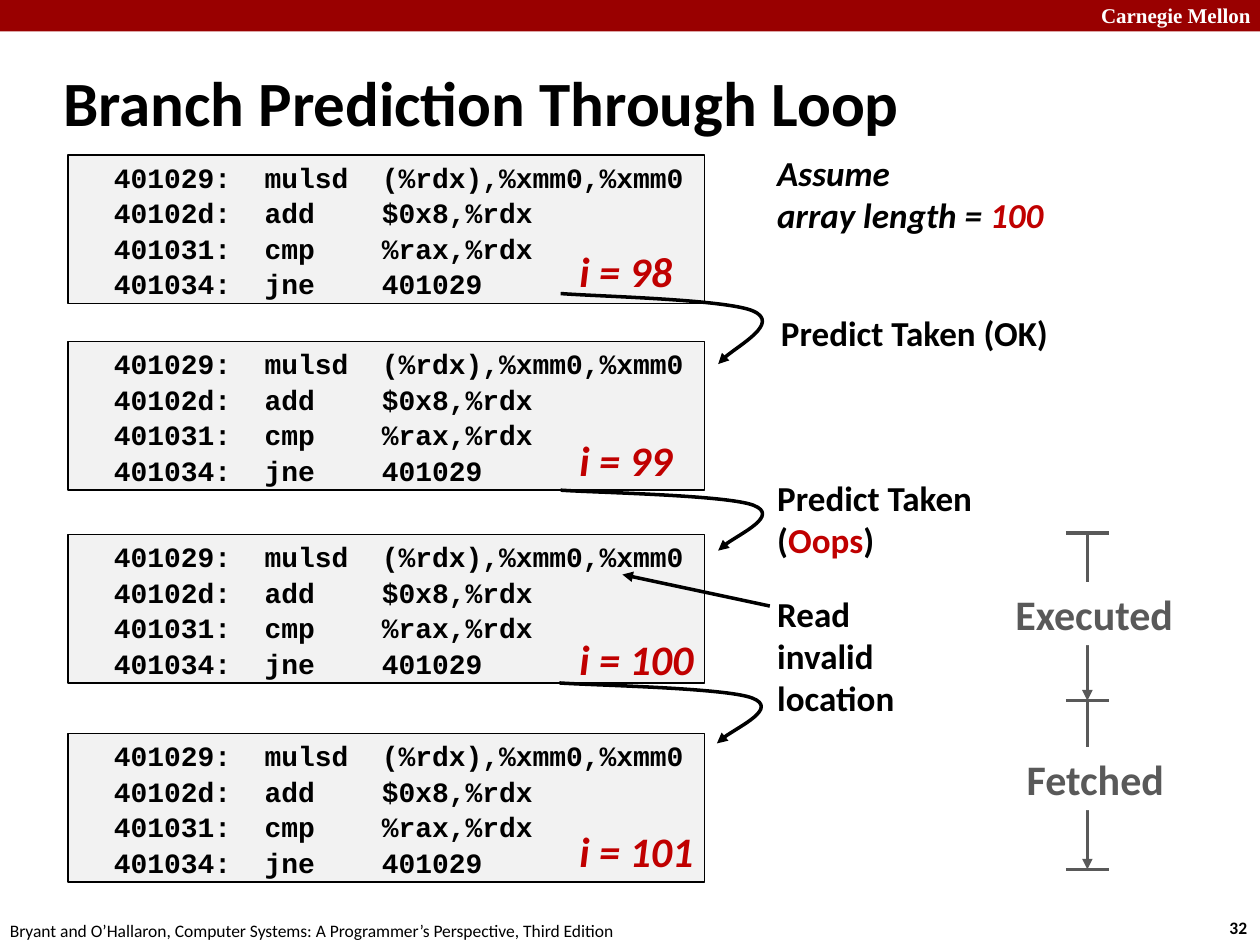
from lxml.etree import SubElement
from pptx import Presentation
from pptx.dml.color import RGBColor
from pptx.enum.shapes import MSO_CONNECTOR, MSO_SHAPE
from pptx.enum.text import MSO_ANCHOR as ANCHOR, PP_ALIGN as ALIGN
from pptx.oxml.ns import qn
from pptx.util import Inches, Pt

BLACK = RGBColor(0x00, 0x00, 0x00)
WHITE = RGBColor(0xFF, 0xFF, 0xFF)
BANNER_RED = RGBColor(0x99, 0x00, 0x00)
ACCENT_RED = RGBColor(0xC0, 0x00, 0x00)
CODE_GRAY = RGBColor(0xF2, 0xF2, 0xF2)
SPAN_GRAY = RGBColor(0x59, 0x59, 0x59)


def write(frame, lines, color, **font_format):
    """Fill a text frame; each line is a list of (text, color or None) runs."""
    for index, line in enumerate(lines):
        paragraph = frame.add_paragraph() if index else frame.paragraphs[0]
        paragraph.alignment = ALIGN.LEFT
        for text, run_color in line:
            run = paragraph.add_run()
            run.text = text
            for key, value in font_format.items():
                setattr(run.font, key, value)
            run.font.color.rgb = run_color or color


def draw_stroke(stroke, color, arrow=False):
    stroke.line.color.rgb = color
    stroke.line.width = Pt(2)
    properties = stroke.element.spPr
    if arrow:
        SubElement(properties.find(qn("a:ln")), qn("a:tailEnd"), type="triangle")
    if properties.find(qn("a:effectLst")) is None:
        SubElement(properties, qn("a:effectLst"))


deck = Presentation()
deck.slide_width, deck.slide_height = Inches(10), Inches(7.5)
slide = deck.slides.add_slide(deck.slide_layouts[5])
shapes = slide.shapes

# Banner and title
banner = shapes.add_shape(MSO_SHAPE.RECTANGLE, 0, 0, Inches(10), Inches(0.25))
banner.shadow.inherit = False
banner.fill.solid()
banner.fill.fore_color.rgb = BANNER_RED
banner.line.fill.background()

title = shapes.title
title.left, title.top = Inches(0.4), Inches(0.49)
title.width, title.height = Inches(8.59), Inches(0.63)
title.text_frame.vertical_anchor = ANCHOR.MIDDLE
write(title.text_frame, [[("Branch Prediction Through Loop", None)]], BLACK,
      name="Calibri", size=Pt(36), bold=True)

# One code block per loop iteration
CODE = [
    "  401029:  mulsd  (%rdx),%xmm0,%xmm0",
    "  40102d:  add    $0x8,%rdx",
    "  401031:  cmp    %rax,%rdx",
    "  401034:  jne    401029",
]
for top in (1.23, 2.71, 4.24, 5.82):
    block = shapes.add_shape(MSO_SHAPE.RECTANGLE, Inches(0.54), Inches(top),
                             Inches(5.05), Inches(1.18))
    block.shadow.inherit = False
    block.fill.solid()
    block.fill.fore_color.rgb = CODE_GRAY
    block.line.color.rgb = BLACK
    block.line.width = Pt(0.75)
    block.text_frame.word_wrap = True
    block.text_frame.vertical_anchor = ANCHOR.MIDDLE
    write(block.text_frame, [[(code_line, None)] for code_line in CODE], BLACK,
          name="Courier New", size=Pt(16), bold=True)
    for paragraph in block.text_frame.paragraphs:
        paragraph.line_spacing = 1.06

# Curved jumps: x offsets in inches, y as a share of the jump height
JUMP = [(0, 0), (0.26, 0.04), (1.32, 0.08), (1.53, 0.25),
        (1.74, 0.42), (1.31, 0.84), (1.25, 1)]
for left, top, height in ((4.45, 2.33, 0.56), (4.45, 3.89, 0.48), (4.44, 5.42, 0.48)):
    points = [(Inches(left + x), Inches(top + y * height)) for x, y in JUMP]
    builder = shapes.build_freeform(*points[0])
    builder.add_line_segments(points[1:], close=False)
    jump = builder.convert_to_shape()
    jump.fill.background()
    draw_stroke(jump, BLACK, arrow=True)
    # Every three segments become one Bezier curve
    outline = next(jump.element.iter(qn("a:path")))
    segments = outline.findall(qn("a:lnTo"))
    for start in range(0, len(segments), 3):
        curve = SubElement(outline, qn("a:cubicBezTo"))
        for segment in segments[start:start + 3]:
            curve.append(segment[0])
            outline.remove(segment)

# Executed and fetched spans
SPAN_X = 8.63
span_ticks = (4.23, 5.56, 6.9)
strokes = [((6.11, 4.81), (4.94, 4.56), BLACK, True)]
strokes += [((SPAN_X, start), (SPAN_X, end), SPAN_GRAY, True)
            for start, end in zip(span_ticks, span_ticks[1:])]
strokes += [((SPAN_X - 0.17, y), (SPAN_X + 0.17, y), SPAN_GRAY, False)
            for y in span_ticks]
for start, end, color, arrow in strokes:
    stroke = shapes.add_connector(MSO_CONNECTOR.STRAIGHT,
                                  *map(Inches, start + end))
    draw_stroke(stroke, color, arrow)

for label, left, top, width in (("Executed", 7.96, 4.62, 1.47),
                                ("Fetched", 8.05, 5.93, 1.3)):
    span = shapes.add_shape(MSO_SHAPE.RECTANGLE, Inches(left), Inches(top),
                            Inches(width), Inches(0.5))
    span.shadow.inherit = False
    span.fill.solid()
    span.fill.fore_color.rgb = WHITE
    span.line.fill.background()
    span.text_frame.word_wrap = False
    write(span.text_frame, [[(label, None)]], SPAN_GRAY,
          name="Calibri", size=Pt(24), bold=True)

# Iteration counters, remarks and footer
COUNTER = dict(name="Calibri", size=Pt(24), bold=True, italic=True)
REMARK = dict(name="Calibri", size=Pt(20), bold=True)
FOOTER = dict(name="Calibri", size=Pt(10))
captions = [
    ((4.5, top, width, 0.5), [[(f"i = {i}", None)]], ACCENT_RED, COUNTER)
    for i, top, width in ((98, 1.9, 0.94), (99, 3.4, 0.94),
                          (100, 4.98, 1.11), (101, 6.5, 1.11))
]
captions += [
    ((6.07, 1.15, 2.32, 0.77),
     [[("Assume", None)], [("array length = ", None), ("100", ACCENT_RED)]],
     BLACK, REMARK | {"italic": True}),
    ((6.1, 2.42, 2.34, 0.44), [[("Predict Taken (OK)", None)]], BLACK, REMARK),
    ((6.07, 3.73, 1.76, 0.77),
     [[("Predict Taken", None)], [("(", None), ("Oops", ACCENT_RED), (")", None)]],
     BLACK, REMARK),
    ((6.07, 4.65, 1.42, 1.11), [[("Read invalid location", None)]], BLACK, REMARK),
    ((8.64, -0.03, 1.43, 0.3), [[("Carnegie Mellon", None)]], WHITE,
     dict(name="Times New Roman", size=Pt(12), bold=True)),
    ((9.66, 7.23, 0.37, 0.27), [[("32", None)]], BLACK, FOOTER | {"bold": True}),
    ((-0.02, 7.25, 5.08, 0.27),
     [[("Bryant and O’Hallaron, Computer Systems: A Programmer’s Perspective, "
        "Third Edition", None)]], BLACK, FOOTER),
]
for bounds, lines, color, font_format in captions:
    caption = shapes.add_textbox(*map(Inches, bounds))
    caption.text_frame.word_wrap = bounds[3] > 1  # only the tall remark wraps
    write(caption.text_frame, lines, color, **font_format)

deck.save("out.pptx")
